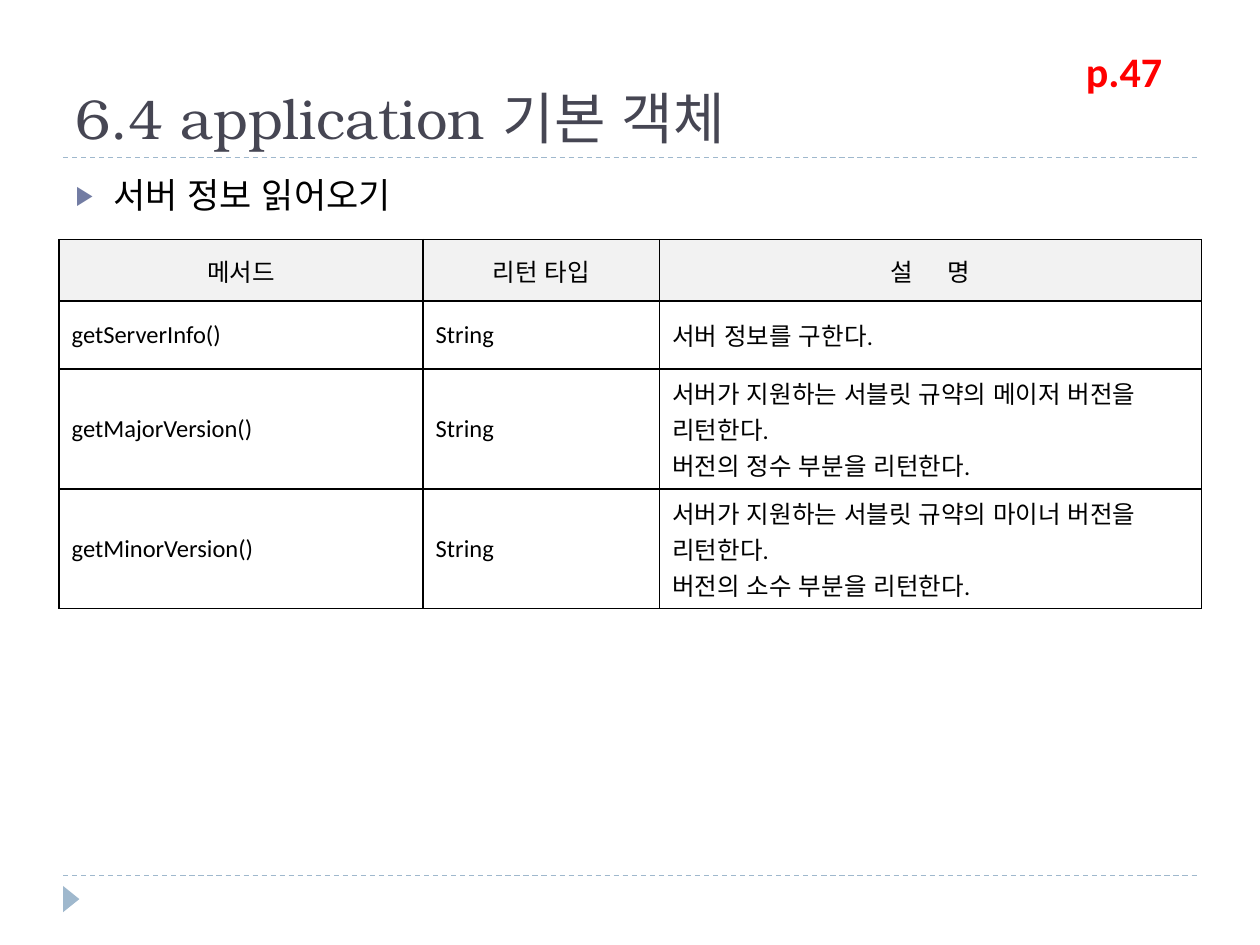
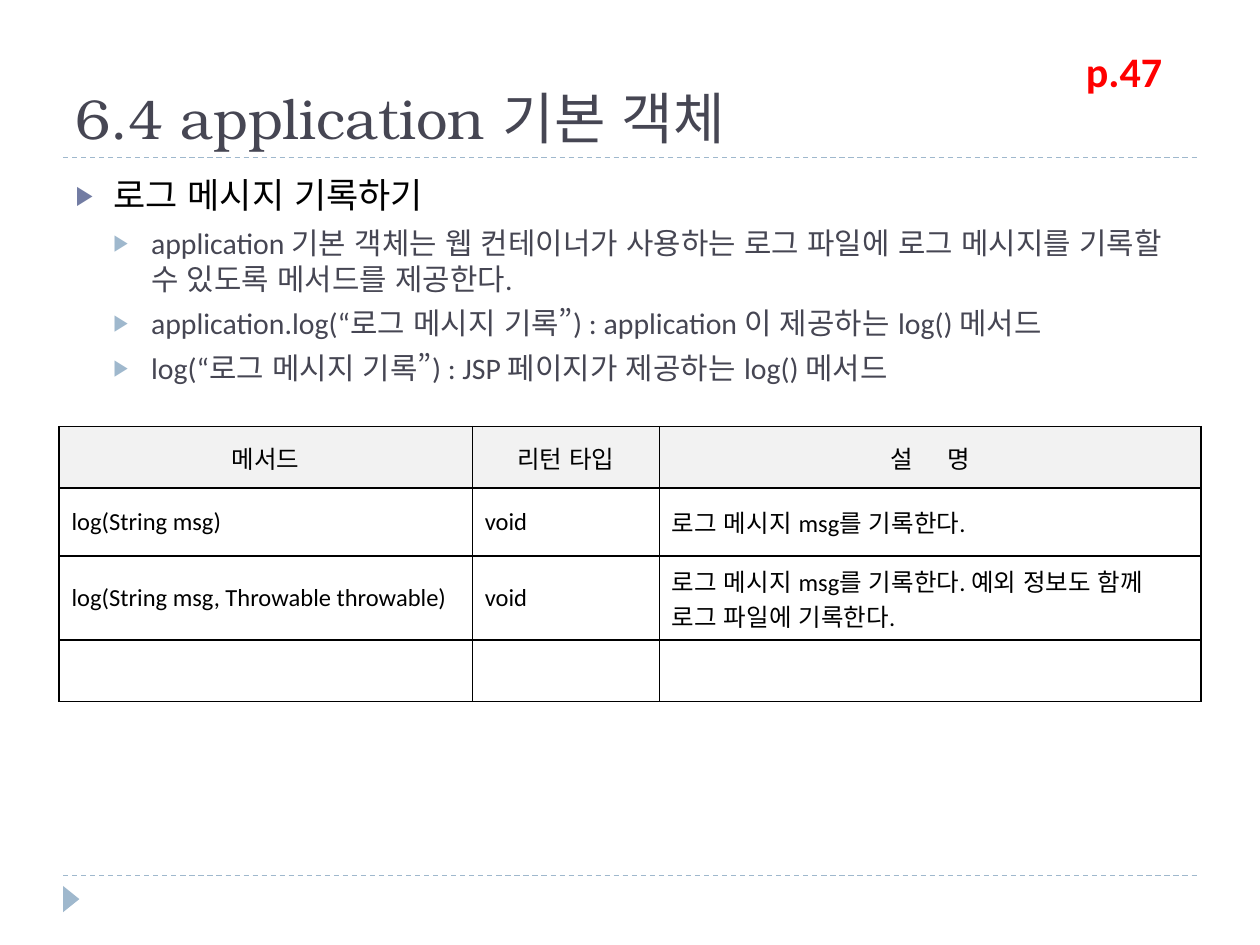
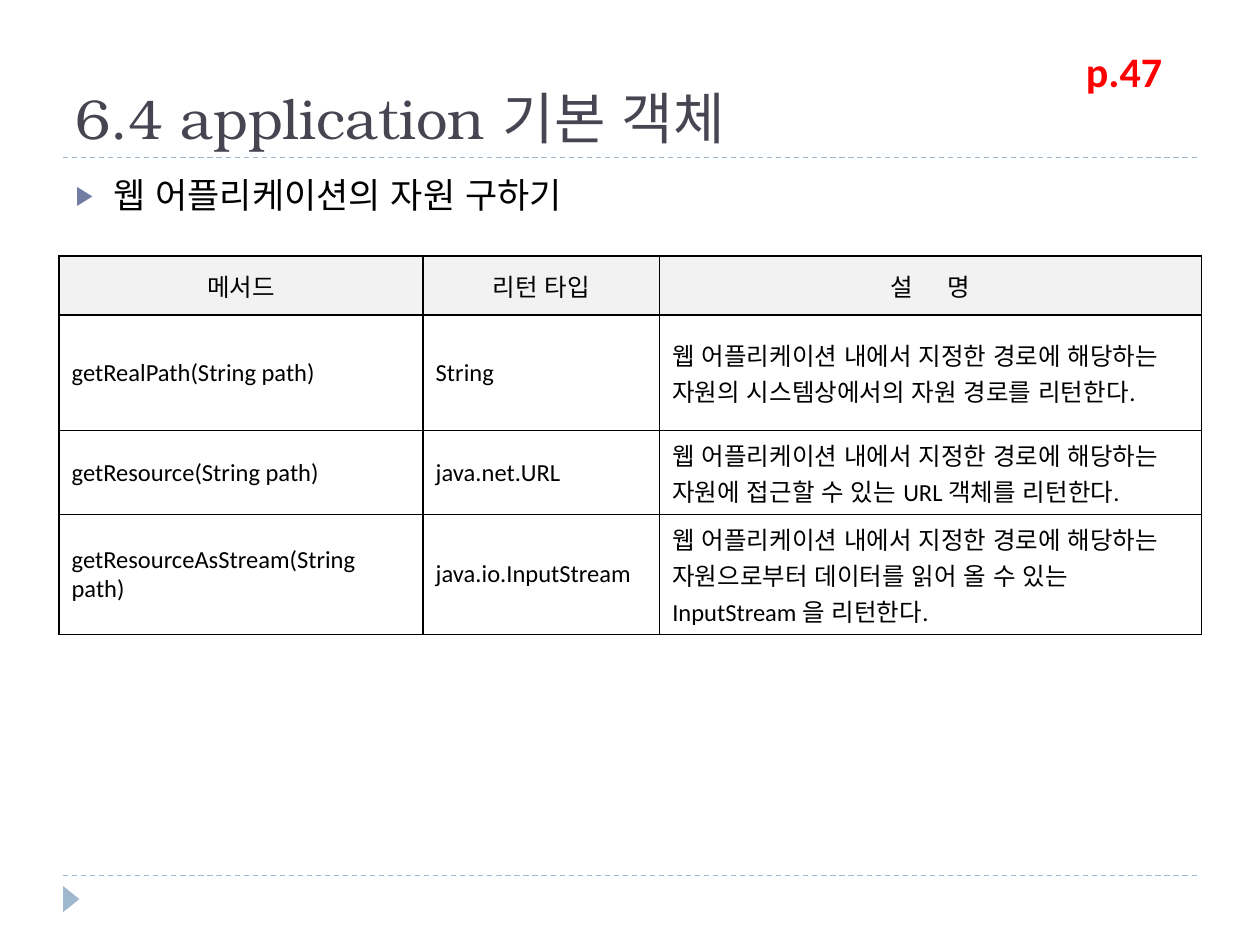
from itertools import product
from lxml import etree
from pptx import Presentation
from pptx import util as u
from pptx.dml.color import RGBColor
from pptx.enum import dml, lang, shapes, text
from pptx.oxml import ns

BODY_FONT, TITLE_FONT = "Calibri", "TeX Gyre Bonum"
BLACK, SLATE, PALE_BLUE, BLUE = "000000", "464653", "9FB8CD", "727CA3"
RED, HEADER_GREY = "FF0000", "F2F2F2"

TITLE = "6.4 application 기본 객체"
PAGE_LABEL = "p.47"
HEADER = ("메서드", "리턴 타입", "설 명")
LEVELS = [
    dict(size=20, color=BLACK, before=6, bullet=BLUE, indent=0.76),
    dict(size=17, color=SLATE, before=5, bullet=PALE_BLUE, indent=1.52),
]
SLIDES = [
    dict(
        items=[(0, "서버 정보 읽어오기")],
        top=4.83, columns=(7.34, 4.77, 10.92), heights=(1.24, 1.37, 1.24, 1.24),
        rows=[
            ("getServerInfo()", "String", "서버 정보를 구한다."),
            ("getMajorVersion()", "String",
             "서버가 지원하는 서블릿 규약의 메이저 버전을 리턴한다.\n버전의 정수 부분을 리턴한다."),
            ("getMinorVersion()", "String",
             "서버가 지원하는 서블릿 규약의 마이너 버전을 리턴한다.\n버전의 소수 부분을 리턴한다."),
        ],
    ),
    dict(
        items=[
            (0, "로그 메시지 기록하기"),
            (1, "application 기본 객체는 웹 컨테이너가 사용하는 로그 파일에 로그 메시지를 "
                "기록할 수 있도록 메서드를 제공한다."),
            (1, "application.log(“로그 메시지 기록”) : application 이 제공하는 log() 메서드"),
            (1, "log(“로그 메시지 기록”) : JSP 페이지가 제공하는 log() 메서드"),
        ],
        top=8.6, columns=(8.33, 3.77, 10.92), heights=(1.24, 1.37, 1.24, 1.24),
        rows=[
            ("log(String msg)", "void", "로그 메시지 msg를 기록한다."),
            ("log(String msg, Throwable throwable)", "void",
             "로그 메시지 msg를 기록한다. 예외 정보도 함께 로그 파일에 기록한다."),
            ("", "", ""),
        ],
    ),
    dict(
        items=[(0, "웹 어플리케이션의 자원 구하기")],
        top=5.16, columns=(7.34, 4.77, 10.92), heights=(1.19, 2.33, 1.65, 2.34),
        rows=[
            ("getRealPath(String path)", "String",
             "웹 어플리케이션 내에서 지정한 경로에 해당하는 자원의 시스템상에서의 "
             "자원 경로를 리턴한다."),
            ("getResource(String path)", "java.net.URL",
             "웹 어플리케이션 내에서 지정한 경로에 해당하는 자원에 접근할 수 있는 "
             "URL 객체를 리턴한다."),
            ("getResourceAsStream(String path)", "java.io.InputStream",
             "웹 어플리케이션 내에서 지정한 경로에 해당하는 자원으로부터 데이터를 읽어 올 수 있는 "
             "InputStream 을 리턴한다."),
        ],
    ),
]


def rgb(value):
    return RGBColor.from_string(value)


def child(parent, tag, **attributes):
    return etree.SubElement(parent, ns.qn(tag), attributes)


def place(shape, left, top, width, height):
    shape.left, shape.top = u.Cm(left), u.Cm(top)
    shape.width, shape.height = u.Cm(width), u.Cm(height)


def write(para, content, size=14, color=BLACK, font=BODY_FONT, bold=False,
          align=text.PP_ALIGN.LEFT, spacing=0):
    para.alignment = align
    span = para.add_run()
    span.text = content
    span.font.size, span.font.name, span.font.bold = u.Pt(size), font, bold
    span.font.color.rgb = rgb(color)
    span.font.language_id = lang.MSO_LANGUAGE_ID.KOREAN
    if spacing:
        span._r.get_or_add_rPr().set("spc", str(spacing * 100))


def add_bullet(para, color, indent):
    properties = para._p.get_or_add_pPr()
    properties.set("marL", str(u.Cm(indent)))
    properties.set("indent", str(-u.Cm(0.76)))
    child(child(properties, "a:buClr"), "a:srgbClr", val=color)
    child(properties, "a:buSzPct", val="76000")
    child(properties, "a:buFont", typeface="Arial")
    child(properties, "a:buChar", char="▶")


def add_borders(cell):
    properties = cell._tc.get_or_add_tcPr()
    for side in ("a:lnL", "a:lnR", "a:lnT", "a:lnB"):
        edge = child(properties, side, w=str(u.Pt(1)))
        child(child(edge, "a:solidFill"), "a:srgbClr", val=BLACK)


def add_master_marks(master, page):
    marks = []
    for height in (17.65, 3.18):
        rule = page.shapes.add_connector(
            shapes.MSO_CONNECTOR.STRAIGHT, u.Cm(1.27), u.Cm(height), u.Cm(24.13), u.Cm(height))
        rule.line.color.rgb = rgb(PALE_BLUE)
        rule.line.width = u.Pt(0.75)
        rule.line.dash_style = dml.MSO_LINE.DASH
        child(rule.element.spPr, "a:effectLst")
        marks.append(rule)
    arrow = page.shapes.add_shape(
        shapes.MSO_SHAPE.ISOSCELES_TRIANGLE, u.Cm(1.17), u.Cm(17.96), u.Cm(0.53), u.Cm(0.33))
    arrow.rotation = 90
    arrow.shadow.inherit = False
    arrow.fill.solid()
    arrow.fill.fore_color.rgb = rgb(PALE_BLUE)
    arrow.line.fill.background()
    for mark in (*marks, arrow):
        master.shapes.element.append(mark.element)


def add_title(page):
    frame = page.shapes.title.text_frame
    frame.auto_size = text.MSO_AUTO_SIZE.NONE
    frame.vertical_anchor = text.MSO_ANCHOR.BOTTOM
    write(frame.paragraphs[0], TITLE, size=32, color=SLATE, font=TITLE_FONT)


def add_list(page, items):
    frame = page.placeholders[1].text_frame
    frame.auto_size = text.MSO_AUTO_SIZE.NONE
    for number, (level, content) in enumerate(items):
        para = frame.add_paragraph() if number else frame.paragraphs[0]
        style = LEVELS[level]
        para.level = level
        para.space_before = u.Pt(style["before"])
        add_bullet(para, style["bullet"], style["indent"])
        write(para, content, size=style["size"], color=style["color"])


def add_method_table(page, top, columns, heights, rows):
    cells = [HEADER, *rows]
    table = page.shapes.add_table(
        len(cells), len(columns), u.Cm(1.19), u.Cm(top),
        u.Cm(sum(columns)), u.Cm(sum(heights))).table
    table.first_row = table.horz_banding = False
    for column, width in zip(table.columns, columns):
        column.width = u.Cm(width)
    for row, height in zip(table.rows, heights):
        row.height = u.Cm(height)
    for r, c in product(range(len(cells)), range(len(columns))):
        cell, content = table.cell(r, c), cells[r][c]
        is_header = r == 0
        cell.vertical_anchor = text.MSO_ANCHOR.MIDDLE
        add_borders(cell)
        if is_header:
            cell.fill.solid()
            cell.fill.fore_color.rgb = rgb(HEADER_GREY)
        else:
            cell.fill.background()
        for number, line in enumerate(content.split("\n") if content else []):
            para = cell.text_frame.add_paragraph() if number else cell.text_frame.paragraphs[0]
            write(para, line, spacing=8 if is_header and c == 2 else 0,
                  align=text.PP_ALIGN.CENTER if is_header else text.PP_ALIGN.LEFT)


def add_page_label(page):
    box = page.shapes.add_textbox(u.Cm(21.64), u.Cm(0.79), u.Cm(2.59), u.Cm(1.27))
    box.text_frame.word_wrap = True
    box.text_frame.auto_size = text.MSO_AUTO_SIZE.SHAPE_TO_FIT_TEXT
    write(box.text_frame.paragraphs[0], PAGE_LABEL, size=24, color=RED, bold=True)


deck = Presentation()
deck.slide_width, deck.slide_height = u.Cm(25.4), u.Cm(19.05)
layout = deck.slide_layouts[1]
place(layout.placeholders[0], 1.27, 0.43, 22.86, 2.74)
place(layout.placeholders[1], 1.27, 3.38, 22.86, 13.72)

for number, content in enumerate(SLIDES):
    page = deck.slides.add_slide(layout)
    if number == 0:
        add_master_marks(deck.slide_master, page)
    add_title(page)
    add_list(page, content["items"])
    add_method_table(page, content["top"], content["columns"], content["heights"], content["rows"])
    add_page_label(page)

deck.save("out.pptx")
